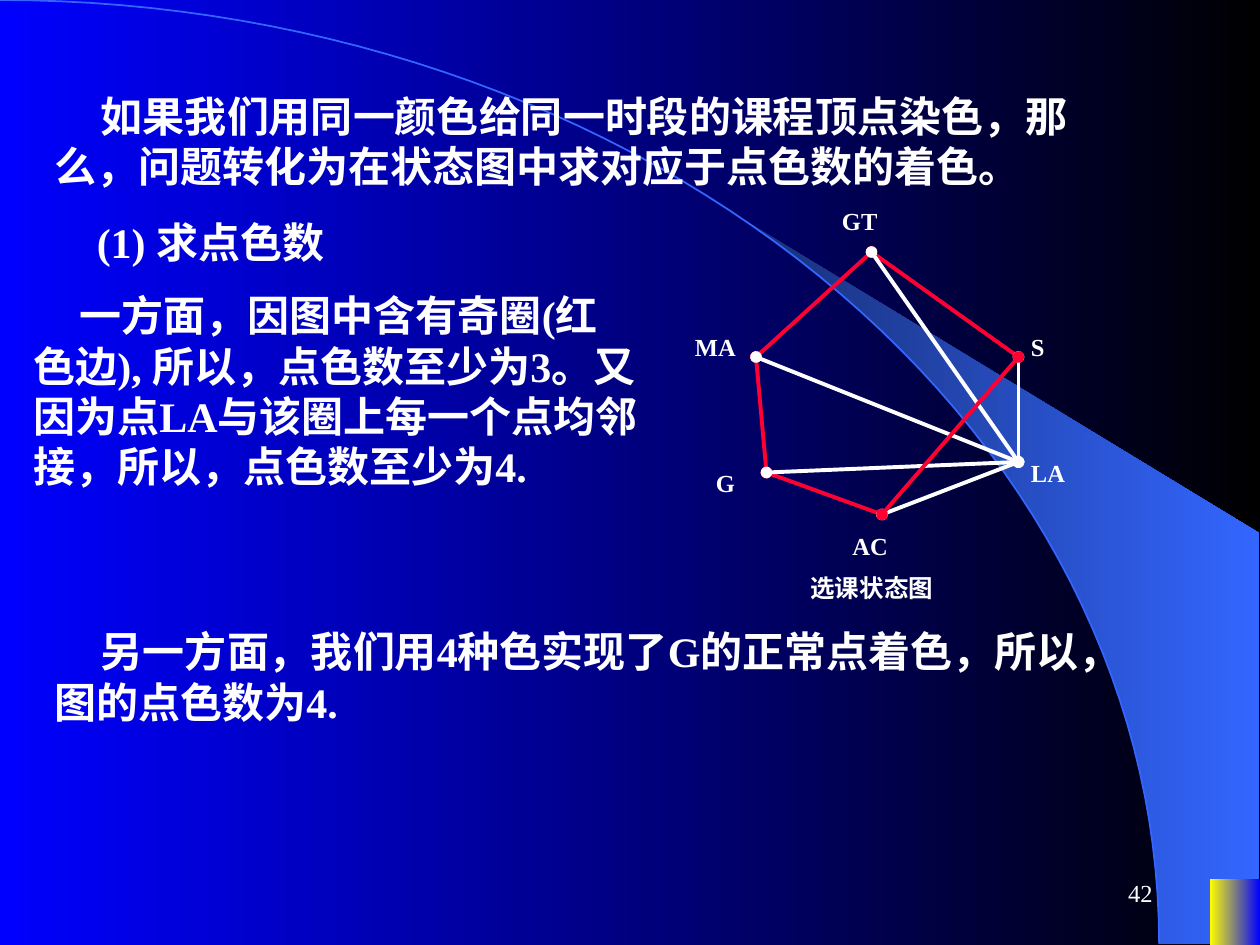
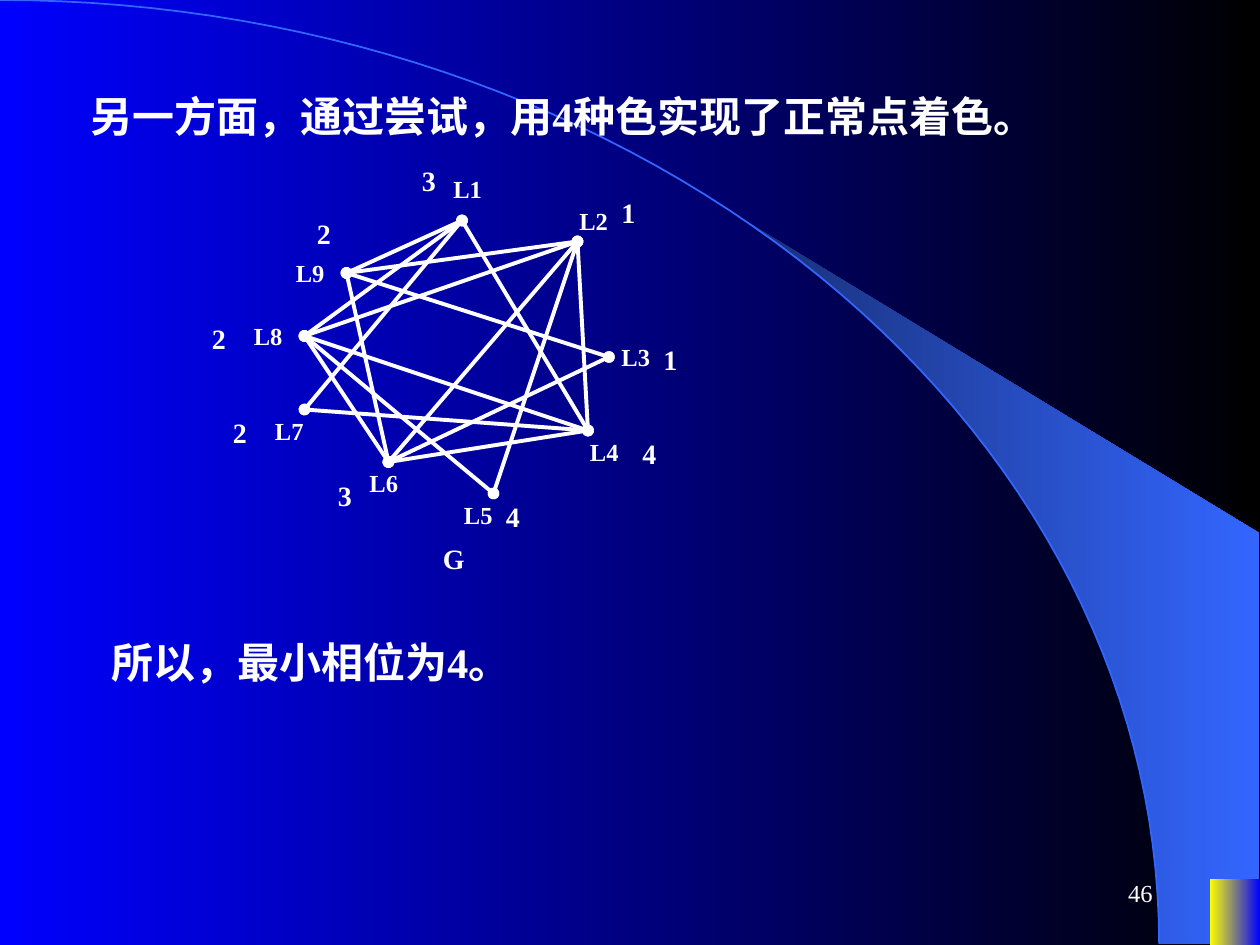
import math

import pptx
import pptx.dml.color
import pptx.enum.dml
import pptx.enum.shapes
import pptx.enum.text
import pptx.oxml
import pptx.oxml.ns
import pptx.util

RGB = pptx.dml.color.RGBColor
WHITE = RGB(0xFF, 0xFF, 0xFF)
BLACK = RGB(0x00, 0x00, 0x00)
BLUE = RGB(0x00, 0x00, 0xFF)
YELLOW = RGB(0xFF, 0xFF, 0x00)
RED = RGB(0xFF, 0x00, 0x33)
NAVY = RGB(0x18, 0x2F, 0x76)
SKY = RGB(0x33, 0x66, 0xFF)

FONT = "Times New Roman"
BODY, LABEL, NUMBER = 24, 14, 16
CELLS_PER_INCH = 12  # all places below are columns and rows of this grid
WIDTH, HEIGHT = 10, 7.5
ARC_WIDTH, ARC_HEIGHT = 9.2, 7.49
SWOOSH_START, SWOOSH_RIGHT, SWOOSH_TOP = 39.8, 9.99, 4.23  # degrees, inches
CJK_INDENT, LATIN_INDENT = 0.37, 0.42

# Paragraphs: text, column, row, columns wide, lines, first-line indent
# Vertices: place of the dot, place of its label
# Edges: colour, then pairs of vertices, from back to front
# Numbers: colour class of a vertex and its place
SLIDES = [
    {
        "page": "42",
        "paragraphs": [
            ("如果我们用同一颜色给同一时段的课程顶点染色，那么，问题转化为在状态图中求对应于点色数的着色。",
             4, 8, 102, 2, CJK_INDENT),
            ("(1) 求点色数", 3, 20, 102, 1, LATIN_INDENT),
            ("一方面，因图中含有奇圈(红色边), 所以，点色数至少为3。又因为点LA与该圈上每一个点均邻接，所以，点色数至少为4.",
             2, 27, 60, 4, CJK_INDENT),
            ("另一方面，我们用4种色实现了G的正常点着色，所以，图的点色数为4.",
             4, 59, 102, 2, CJK_INDENT),
        ],
        "vertices": {
            "GT": ((83, 24), (79, 19)),
            "MA": ((72, 34), (65, 31)),
            "G": ((73, 45), (67, 44)),
            "AC": ((84, 49), (80, 50)),
            "LA": ((97, 44), (97, 43)),
            "S": ((97, 34), (97, 31)),
        },
        "edges": [
            (RED, "GT-MA GT-S MA-G"),
            (WHITE, "S-LA"),
            (RED, "G-AC"),
            (WHITE, "LA-AC GT-LA MA-LA G-LA"),
            (RED, "S-AC"),
        ],
        "label_width": 0.68,
        "numbers": [],
        "caption": ("选课状态图", 76, 54, 1.58, LABEL),
    },
    {
        "page": "46",
        "paragraphs": [
            ("另一方面，通过尝试，用4种色实现了正常点着色。", 3, 8, 107, 1, CJK_INDENT),
            ("所以，最小相位为4。", 5, 60, 107, 1, CJK_INDENT),
        ],
        "vertices": {
            "L1": ((44, 21), (42, 16)),
            "L2": ((55, 23), (54, 19)),
            "L3": ((58, 34), (58, 32)),
            "L4": ((56, 41), (55, 41)),
            "L5": ((47, 47), (43, 47)),
            "L6": ((37, 44), (34, 44)),
            "L7": ((29, 39), (25, 39)),
            "L8": ((29, 32), (23, 30)),
            "L9": ((33, 26), (27, 24)),
        },
        "edges": [
            (WHITE, "L1-L9 L9-L6 L6-L8 L1-L8 L1-L7 L1-L4 L9-L2 L2-L8 L2-L6 "
                    "L2-L4 L9-L3 L3-L6 L8-L4 L7-L4 L4-L6 L2-L5 L8-L5"),
        ],
        "label_width": 0.52,
        "numbers": [
            ("3", 39, 15), ("1", 58, 18), ("1", 62, 32), ("4", 60, 41), ("4", 47, 47),
            ("3", 31, 45), ("2", 21, 39), ("2", 19, 30), ("2", 29, 20),
        ],
        "caption": ("G", 41, 51, 0.77, NUMBER),
    },
]

inches = pptx.util.Inches


def grid(cells):
    return inches(cells / CELLS_PER_INCH)


def blend(fill, left, right):
    """Fill from the left colour to the right one."""
    fill.gradient()
    fill.gradient_angle = 0
    for stop, colour in zip(fill.gradient_stops, (left, right)):
        stop.color.rgb = colour


def add_text(shapes, text, column, row, width, height, size, bold=True):
    box = shapes.add_textbox(grid(column), grid(row), inches(width), inches(height))
    frame = box.text_frame
    frame.text = text
    frame.word_wrap = True
    frame.auto_size = pptx.enum.text.MSO_AUTO_SIZE.SHAPE_TO_FIT_TEXT
    font = frame.paragraphs[0].runs[0].font
    font.name, font.size, font.bold = FONT, pptx.util.Pt(size), bold
    font.color.rgb = WHITE
    return frame


def add_label(shapes, text, column, row, width, size):
    add_text(shapes, text, column, row, width, size * 0.015 + 0.13, size)


def add_edge(shapes, start, end, colour):
    edge = shapes.add_connector(
        pptx.enum.shapes.MSO_CONNECTOR.STRAIGHT, *map(grid, start + end))
    edge.line.color.rgb = colour
    edge.line.width = pptx.util.Pt(2.25)
    line = edge.line._get_or_add_ln()
    for tag in ("a:headEnd", "a:tailEnd"):
        pptx.oxml.ns.qn(tag)
        dot = pptx.oxml.parse_xml(f'<{tag} {pptx.oxml.ns.nsdecls("a")} type="oval"/>')
        line.append(dot)
    edge.element.spPr.append(
        pptx.oxml.parse_xml(f'<a:effectLst {pptx.oxml.ns.nsdecls("a")}/>'))


def arc_points(first_degree):
    """Points of the quarter ellipse, from the given angle to its lower end."""
    steps = 60
    angles = [math.radians(first_degree + (90 - first_degree) * step / steps)
              for step in range(steps + 1)]
    return [(inches(ARC_WIDTH * math.sin(angle)),
             inches(ARC_HEIGHT * (1 - math.cos(angle)))) for angle in angles]


def add_outline(shapes, points, close):
    builder = shapes.build_freeform(*points[0])
    builder.add_line_segments(points[1:], close=close)
    return builder.convert_to_shape()


def decorate(slide, master):
    """Draw the shared swoosh, arc and corner block, and hand them to the master."""
    blend(master.background.fill, BLUE, BLACK)

    corners = [(inches(SWOOSH_RIGHT), inches(y)) for y in (ARC_HEIGHT, SWOOSH_TOP)]
    swoosh = add_outline(slide.shapes, arc_points(SWOOSH_START) + corners, True)
    blend(swoosh.fill, NAVY, SKY)
    swoosh.line.fill.background()

    arc = add_outline(slide.shapes, arc_points(0), False)
    arc.fill.background()
    arc.line.color.rgb = SKY
    arc.line.width = pptx.util.Pt(1)

    block_width, block_height = 0.04 * WIDTH, 0.07 * HEIGHT
    block = slide.shapes.add_shape(
        pptx.enum.shapes.MSO_SHAPE.RECTANGLE,
        inches(WIDTH - block_width), inches(HEIGHT - block_height),
        inches(block_width), inches(block_height))
    blend(block.fill, YELLOW, BLUE)
    block.line.fill.background()

    for number, part in enumerate((swoosh, arc, block), 101):
        part.shadow.inherit = False
        part.element.nvSpPr.cNvPr.id = number
        master.shapes.element.append(part.element)


def add_graph(slide, content):
    shapes = slide.shapes.add_group_shape().shapes
    vertices = content["vertices"]
    for colour, pairs in content["edges"]:
        for pair in pairs.split():
            start, end = pair.split("-")
            add_edge(shapes, vertices[start][0], vertices[end][0], colour)
    for vertex, (_, place) in vertices.items():
        add_label(shapes, vertex, *place, content["label_width"], LABEL)
    for number, column, row in content["numbers"]:
        add_label(shapes, number, column, row, 0.43, NUMBER)
    add_label(shapes, *content["caption"])


def fill_slide(slide, content):
    page = add_text(slide.shapes, content["page"], 86, 82, 2.08, 0.5, LABEL, False)
    page.auto_size = pptx.enum.text.MSO_AUTO_SIZE.NONE
    page.vertical_anchor = pptx.enum.text.MSO_ANCHOR.MIDDLE
    page.paragraphs[0].alignment = pptx.enum.text.PP_ALIGN.RIGHT

    for text, column, row, columns, lines, indent in content["paragraphs"]:
        frame = add_text(slide.shapes, text, column, row,
                         columns / CELLS_PER_INCH, 0.4 * lines + 0.1, BODY)
        frame.paragraphs[0]._p.get_or_add_pPr().set("indent", str(inches(indent)))
    add_graph(slide, content)


def main():
    deck = pptx.Presentation()
    deck.slide_width, deck.slide_height = inches(WIDTH), inches(HEIGHT)
    blank = deck.slide_layouts[6]
    for content in SLIDES:
        slide = deck.slides.add_slide(blank)
        for placeholder in list(slide.placeholders):
            placeholder.element.getparent().remove(placeholder.element)
        if content is SLIDES[0]:
            decorate(slide, deck.slide_master)
        fill_slide(slide, content)
    deck.save("out.pptx")


if __name__ == "__main__":
    main()
